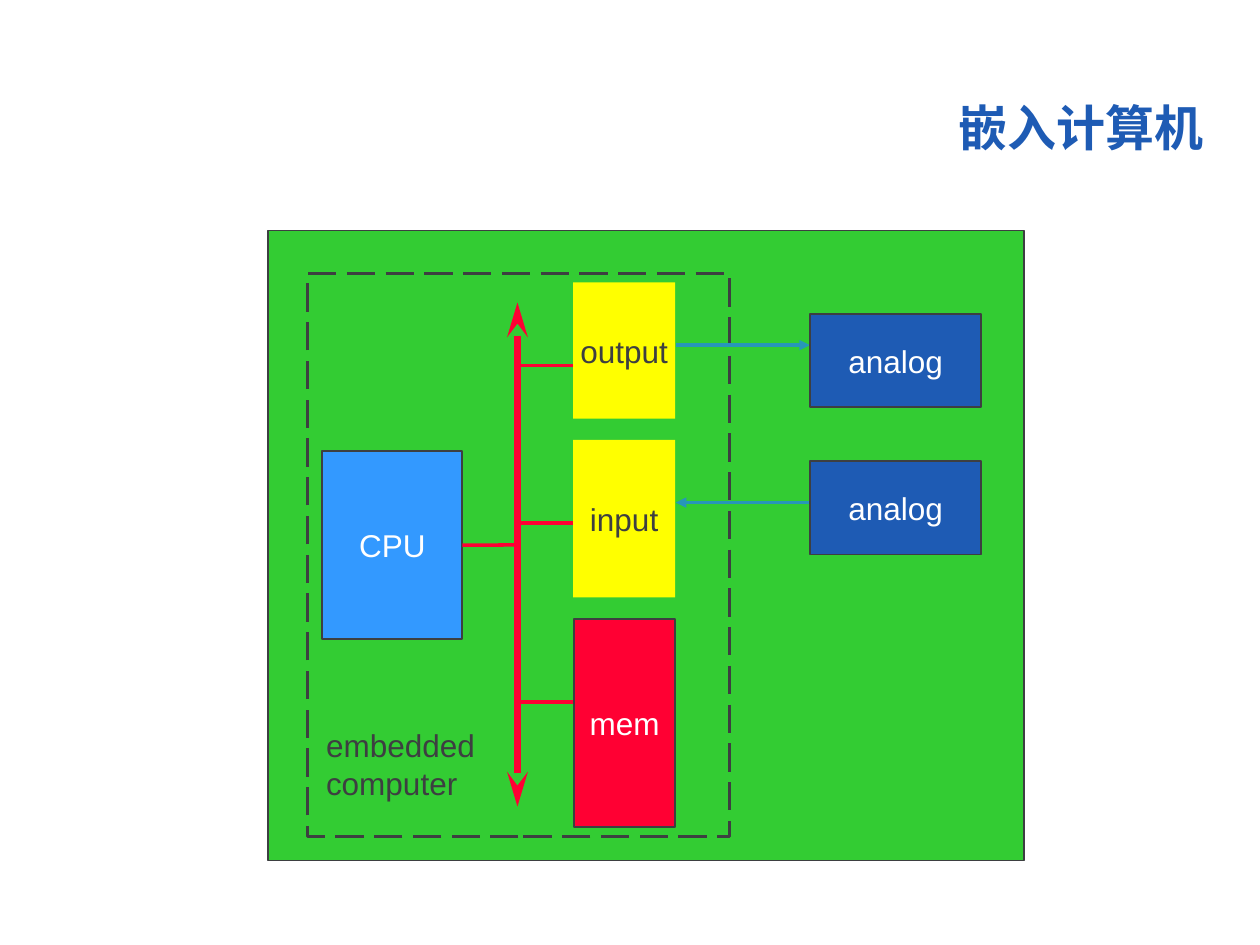
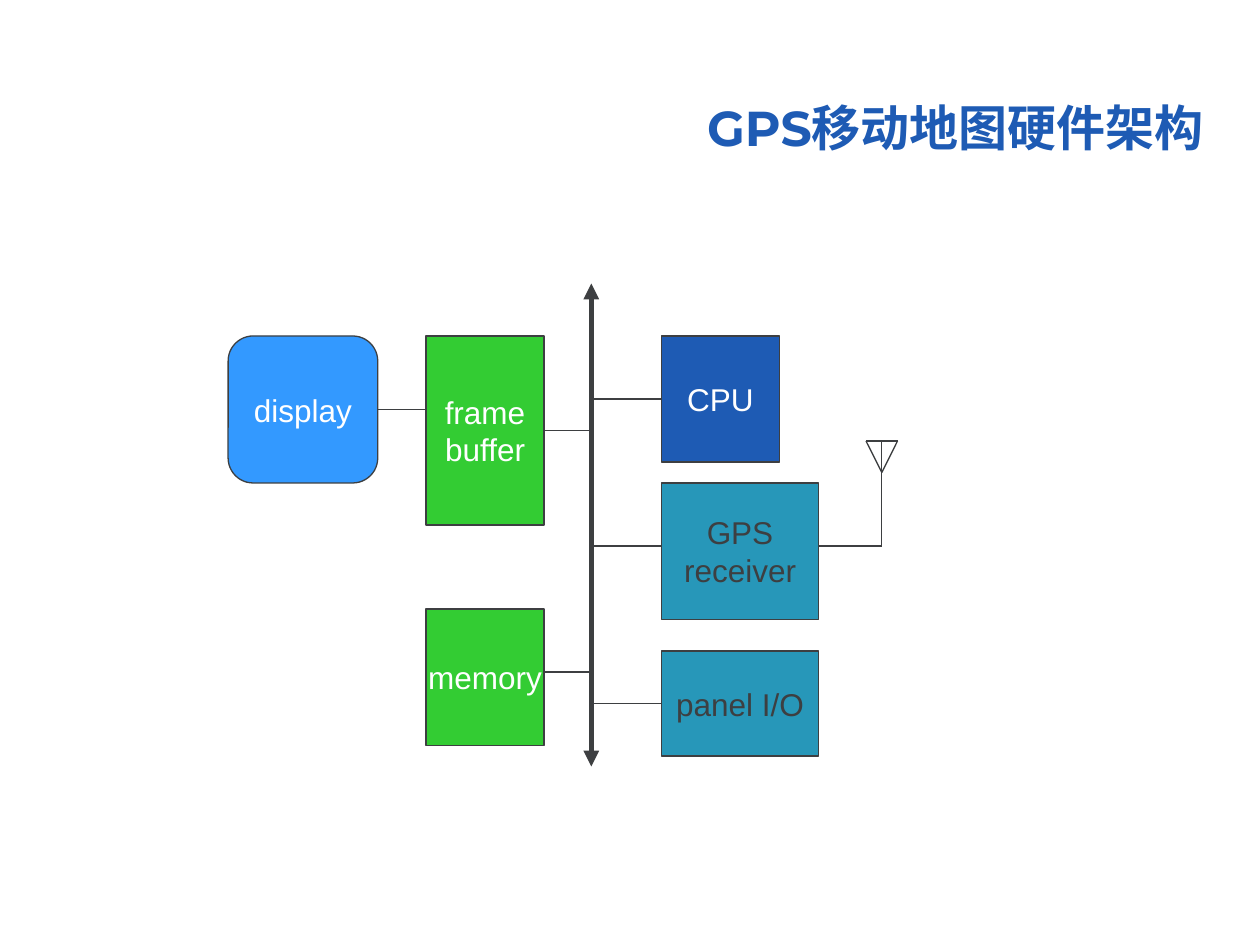
from dataclasses import dataclass
from typing import Any

from lxml import etree
from pptx import Presentation
from pptx.dml.color import RGBColor
from pptx.enum.dml import MSO_LINE
from pptx.enum.lang import MSO_LANGUAGE_ID as LANG
from pptx.enum.shapes import MSO_CONNECTOR, MSO_SHAPE
from pptx.enum.text import MSO_ANCHOR, MSO_AUTO_SIZE, PP_ALIGN
from pptx.oxml.ns import qn
from pptx.util import Pt

COLORS = {
    "white": "FFFFFF", "ink": "3D3F41", "navy": "1E5BB4", "sky": "3399FF",
    "green": "33CC33", "yellow": "FFFF00", "red": "FF0033", "teal": "2797B9",
}
TOP, LEFT, BOTTOM, RIGHT = range(4)


def rgb(name):
    """Return the named colour."""
    return RGBColor.from_string(COLORS[name])


def style_text(frame, size, font, color, align, bold=False):
    """Format every paragraph and run of a text frame."""
    for paragraph in frame.paragraphs:
        paragraph.alignment = align
        for run in paragraph.runs:
            run.font.size = Pt(size)
            run.font.name = font
            run.font.bold = bold
            run.font.color.rgb = rgb(color)


@dataclass
class Region:
    """A diagram area whose parts are placed from its top left corner."""

    shapes: Any
    left: float
    top: float

    def at(self, x, y):
        """Turn region coordinates into slide lengths."""
        return Pt(self.left + x), Pt(self.top + y)

    def block(self, box, fill=None, text="", color="white", line=1,
              preset=MSO_SHAPE.RECTANGLE):
        """Add a component block with a centred label."""
        x, y, width, height = box
        block = self.shapes.add_shape(preset, *self.at(x, y), Pt(width), Pt(height))
        block.shadow.inherit = False
        if fill:
            block.fill.solid()
            block.fill.fore_color.rgb = rgb(fill)
        else:
            block.fill.background()
        if line:
            block.line.color.rgb = rgb("ink")
            block.line.width = Pt(line)
        else:
            block.line.fill.background()
        if text:
            frame = block.text_frame
            frame.text = text
            frame.word_wrap = False
            frame.vertical_anchor = MSO_ANCHOR.MIDDLE
            style_text(frame, 18, "Arial", color, PP_ALIGN.CENTER)
        return block

    def wire(self, start, end, color="ink", width=0.75, head=None, tail=None,
             arrow_len="med", source=None):
        """Add a straight wire, optionally joined to a (block, side) source."""
        wire = self.shapes.add_connector(
            MSO_CONNECTOR.STRAIGHT, *self.at(*start), *self.at(*end))
        wire.line.color.rgb = rgb(color)
        wire.line.width = Pt(width)
        outline = wire.line._get_or_add_ln()
        for tag, kind in (("a:headEnd", head), ("a:tailEnd", tail)):
            if kind:
                etree.SubElement(outline, qn(tag), type=kind, w="med", len=arrow_len)
        etree.SubElement(wire._element.spPr, qn("a:effectLst"))
        if source:
            wire.begin_connect(*source)
        return wire


def add_titled_slide(deck, text):
    """Add a slide with the shared right-aligned title."""
    slide = deck.slides.add_slide(deck.slide_layouts[5])
    title = slide.shapes.title
    title.left, title.top = Pt(211.7), Pt(38.2)
    title.width, title.height = Pt(483.1), Pt(55.4)
    frame = title.text_frame
    frame.text = text
    frame.word_wrap = True
    frame.auto_size = MSO_AUTO_SIZE.NONE
    frame.vertical_anchor = MSO_ANCHOR.BOTTOM
    style_text(frame, 28, "Montserrat", "navy", PP_ALIGN.RIGHT, bold=True)
    frame.paragraphs[0].line_spacing = 0.9
    frame.paragraphs[0].runs[0].font.language_id = LANG.SIMPLIFIED_CHINESE
    return slide


def draw_embedded_computer(region):
    """Draw the board with the embedded computer and its analog parts."""
    bus_x, io_x, io_right, analog_x = 142.5, 174.3, 233, 309.6
    region.block((0, 0, 432, 360), "green", line=0.75)
    cpu = region.block((31, 126, 80, 107.3), "sky", "CPU")
    region.block((175, 221.8, 57.5, 118.8), "red", "mem")
    region.block((io_x, 119.5, 58.3, 90), "yellow", "input", "ink", line=0)
    region.block((io_x, 29.5, 58.3, 77.8), "yellow", "output", "ink", line=0)

    region.wire((bus_x, 41), (bus_x, 329), "red", 4, "stealth", "stealth", "lg")
    region.wire((111, 179.5), (bus_x, 179.5), "red", 2, source=(cpu, RIGHT))
    for tap_y in (77, 167, 269.3):
        region.wire((bus_x, tap_y), (io_x, tap_y), "red", 2)

    boundary = region.block((22.5, 24.5, 241.2, 321.8), line=2)
    boundary.line.dash_style = MSO_LINE.LONG_DASH
    region.wire((io_right, 65.3), (analog_x, 65.3), "teal", 2, tail="triangle")
    region.wire((analog_x, 155.3), (io_right, 155.3), "teal", 2, tail="triangle")
    for analog_y in (47.5, 131.7):
        region.block((analog_x, analog_y, 98, 53.3), "navy", "analog")

    caption = region.shapes.add_textbox(*region.at(26, 279.4), Pt(99.4), Pt(50.4))
    caption.text_frame.text = "embedded\ncomputer"
    caption.text_frame.word_wrap = False
    caption.text_frame.auto_size = MSO_AUTO_SIZE.SHAPE_TO_FIT_TEXT
    style_text(caption.text_frame, 18, "Arial", "ink", PP_ALIGN.LEFT)


def draw_antenna(region, x, y):
    """Draw the grouped antenna with the top of its mast at a point."""
    antenna = Region(region.shapes.add_group_shape().shapes,
                     region.left + x, region.top + y)
    tip, left, right = (0, 18), (-9, 0), (9, 0)
    for start, end in (((0, 0), (0, 60)), (left, right), (left, tip), (tip, right)):
        antenna.wire(start, end)


def draw_moving_map(region):
    """Draw the GPS moving map hardware around its bus."""
    bus_x, left_x, right_x, mast_x = 207.5, 113, 247.5, 373.5
    left_end = left_x + 67.5
    gps_y, memory_y = 150, 222
    region.block((right_x, 114, 90, 78), "teal", "GPS\nreceiver", "ink", 0.75)
    draw_antenna(region, mast_x, 90)
    region.wire((bus_x, 0), (bus_x, 276), "ink", 3, "triangle", "triangle")

    cpu = region.block((right_x, 30, 67.5, 72), "navy", "CPU", line=0.75)
    panel = region.block((right_x, 210, 90, 60), "teal", "panel I/O", "ink", 0.75)
    display = region.block((0, 30, 85.5, 84), "sky", "display", line=0.75,
                           preset=MSO_SHAPE.ROUNDED_RECTANGLE)
    display.adjustments[0] = 0.17
    buffer = region.block((left_x, 30, 67.5, 108), "green", "frame\nbuffer", line=0.75)
    region.block((left_x, 186, 67.5, 78), "green", "memory", line=0.75)

    region.wire((right_x, 66), (bus_x, 66), source=(cpu, LEFT))
    region.wire((right_x, gps_y), (bus_x, gps_y))
    region.wire((mast_x, gps_y), (right_x + 90, gps_y))
    region.wire((right_x, 240), (bus_x, 240), source=(panel, LEFT))
    region.wire((85.5, 72), (left_x, 72), source=(display, RIGHT))
    region.wire((left_end, 84), (bus_x, 84), source=(buffer, RIGHT))
    region.wire((left_end, memory_y), (bus_x, memory_y))


def main():
    """Build and save the presentation."""
    deck = Presentation()
    deck.slide_width, deck.slide_height = Pt(720), Pt(540)
    computer = add_titled_slide(deck, "嵌入计算机")
    draw_embedded_computer(Region(computer.shapes, 153.2, 131.9))
    moving_map = add_titled_slide(deck, "GPS移动地图硬件架构")
    draw_moving_map(Region(moving_map.shapes, 130.4, 162))
    deck.save("out.pptx")


if __name__ == "__main__":
    main()
